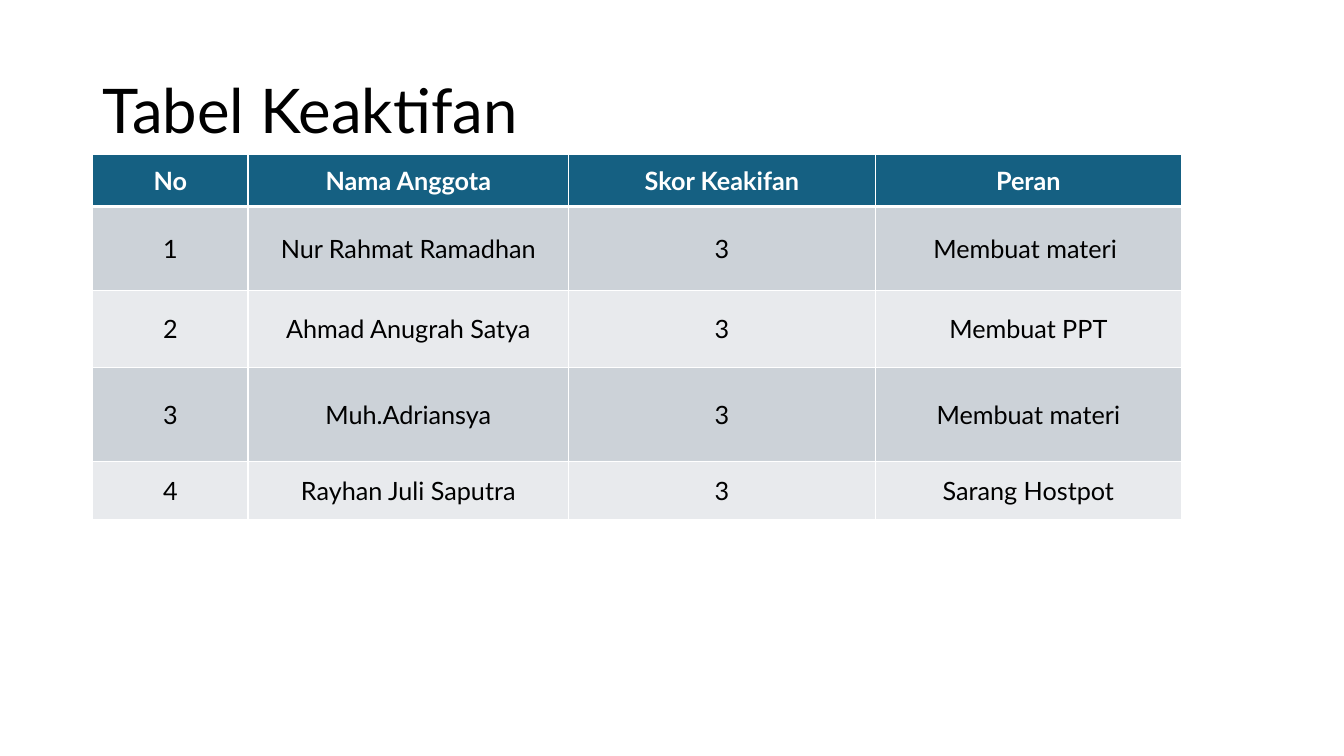
from lxml import etree
from pptx import Presentation
from pptx.dml.color import RGBColor
from pptx.enum.text import MSO_ANCHOR, MSO_AUTO_SIZE, PP_ALIGN
from pptx.oxml.ns import qn
from pptx.util import Inches, Pt

MIDDLE = MSO_ANCHOR.MIDDLE
NO_AUTOFIT = MSO_AUTO_SIZE.NONE
LEFT, CENTER = PP_ALIGN.LEFT, PP_ALIGN.CENTER

BLACK = RGBColor(0x00, 0x00, 0x00)
WHITE = RGBColor(0xFF, 0xFF, 0xFF)
HEADER_BLUE = RGBColor(0x15, 0x60, 0x82)
BAND_COLORS = (RGBColor(0xE8, 0xEA, 0xED), RGBColor(0xCC, 0xD2, 0xD8))

TITLE_ONLY = 5
COLUMN_WIDTHS = (1.54, 3.18, 3.04, 3.04)
ROW_HEIGHTS = (0.52, 0.83, 0.77, 0.93, 0.58)
MEMBER_ROWS = (
    ("No", "Nama Anggota", "Skor Keakifan", "Peran"),
    ("1", "Nur Rahmat Ramadhan", "3", "Membuat materi "),
    ("2", "Ahmad Anugrah Satya", "3", "Membuat PPT"),
    ("3", "Muh.Adriansya", "3", "Membuat materi"),
    ("4", "Rayhan Juli Saputra", "3", "Sarang Hostpot"),
)


class SlideBuilder:
    font_name = "Lato"
    title_size = 44
    table_size = 18

    def __init__(self, slide):
        self.slide = slide

    def add_text(self, paragraph, text, size, color, alignment, bold=False):
        paragraph.alignment = alignment
        run = paragraph.add_run()
        run.text = text
        run.font.name = self.font_name
        run.font.size = Pt(size)
        run.font.bold = bold
        run.font.color.rgb = color

    def title(self, text, left, top, width, height):
        shape = self.slide.shapes.title
        shape.left, shape.top = Inches(left), Inches(top)
        shape.width, shape.height = Inches(width), Inches(height)
        frame = shape.text_frame
        frame.word_wrap = True
        frame.auto_size = NO_AUTOFIT
        frame.vertical_anchor = MIDDLE
        paragraph = frame.paragraphs[0]
        paragraph.line_spacing = 0.9
        self.add_text(paragraph, text, self.title_size, BLACK, LEFT)

    def borders(self, cell, top_width, bottom_width):
        """Draw white lines on all four sides; call before setting the fill."""
        properties = cell._tc.get_or_add_tcPr()
        widths = {"a:lnL": 1, "a:lnR": 1, "a:lnT": top_width, "a:lnB": bottom_width}
        for tag, width in widths.items():
            line = etree.SubElement(properties, qn(tag), w=str(Pt(width)))
            fill = etree.SubElement(line, qn("a:solidFill"))
            etree.SubElement(fill, qn("a:srgbClr"), val=str(WHITE))

    def table(self, rows, left, top, column_widths, row_heights):
        frame = self.slide.shapes.add_table(
            len(rows), len(column_widths), Inches(left), Inches(top),
            Inches(sum(column_widths)), Inches(sum(row_heights)))
        table = frame.table
        for column, width in zip(table.columns, column_widths):
            column.width = Inches(width)
        for row_index, (row, height, texts) in enumerate(zip(table.rows, row_heights, rows)):
            row.height = Inches(height)
            is_header = row_index == 0
            background = HEADER_BLUE if is_header else BAND_COLORS[row_index % 2]
            for cell, text in zip(row.cells, texts):
                self.borders(cell, 3 if row_index == 1 else 1, 3 if is_header else 1)
                cell.fill.solid()
                cell.fill.fore_color.rgb = background
                cell.vertical_anchor = MIDDLE
                self.add_text(cell.text_frame.paragraphs[0], text, self.table_size,
                              WHITE if is_header else BLACK, CENTER, bold=is_header)


def main():
    presentation = Presentation()
    presentation.slide_width = Inches(13.33)
    presentation.slide_height = Inches(7.5)
    slide = presentation.slides.add_slide(presentation.slide_layouts[TITLE_ONLY])
    builder = SlideBuilder(slide)
    builder.title("Tabel Keaktifan", 0.92, 0.4, 11.5, 1.45)
    builder.table(MEMBER_ROWS, 0.92, 1.53, COLUMN_WIDTHS, ROW_HEIGHTS)
    presentation.save("out.pptx")


if __name__ == "__main__":
    main()
